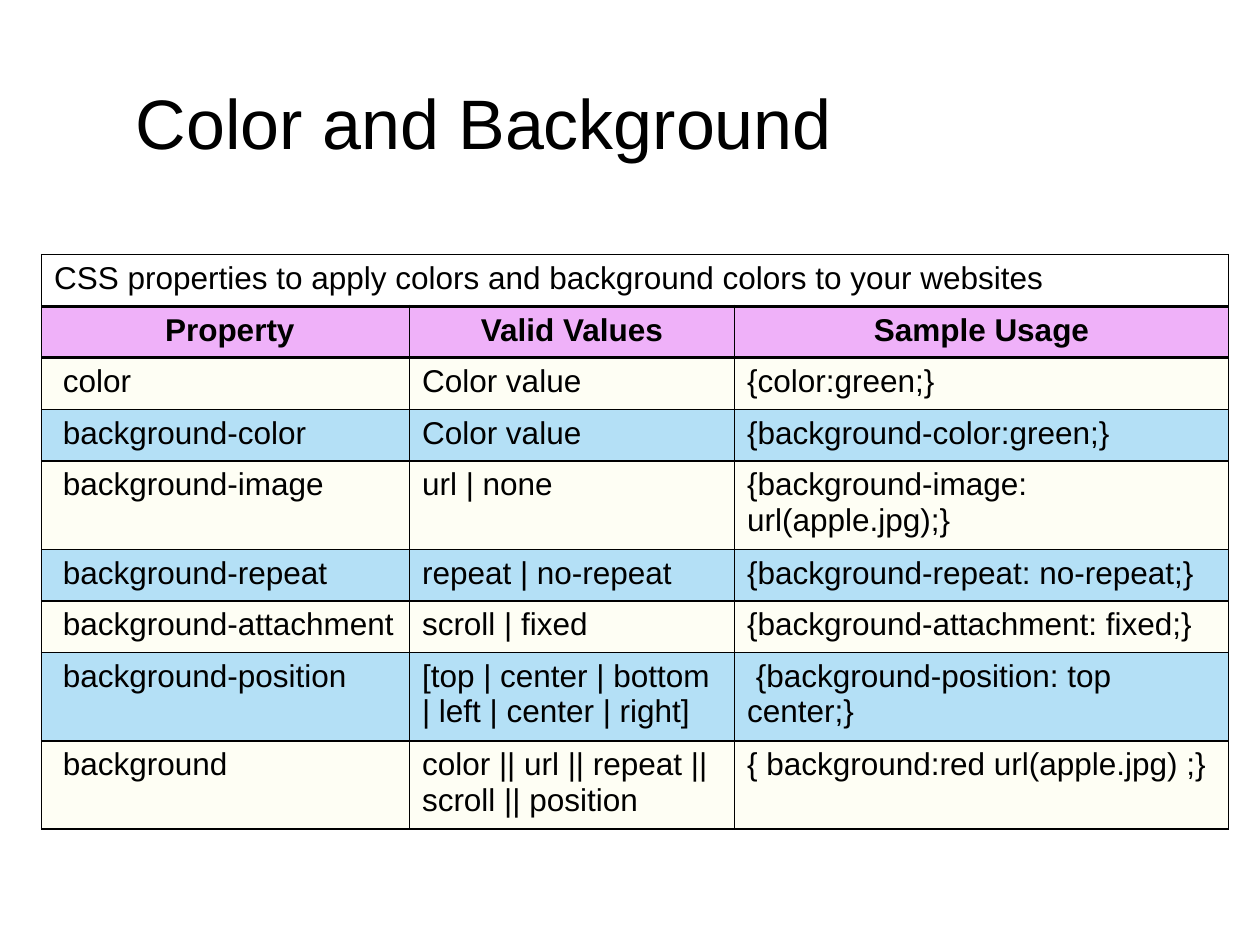
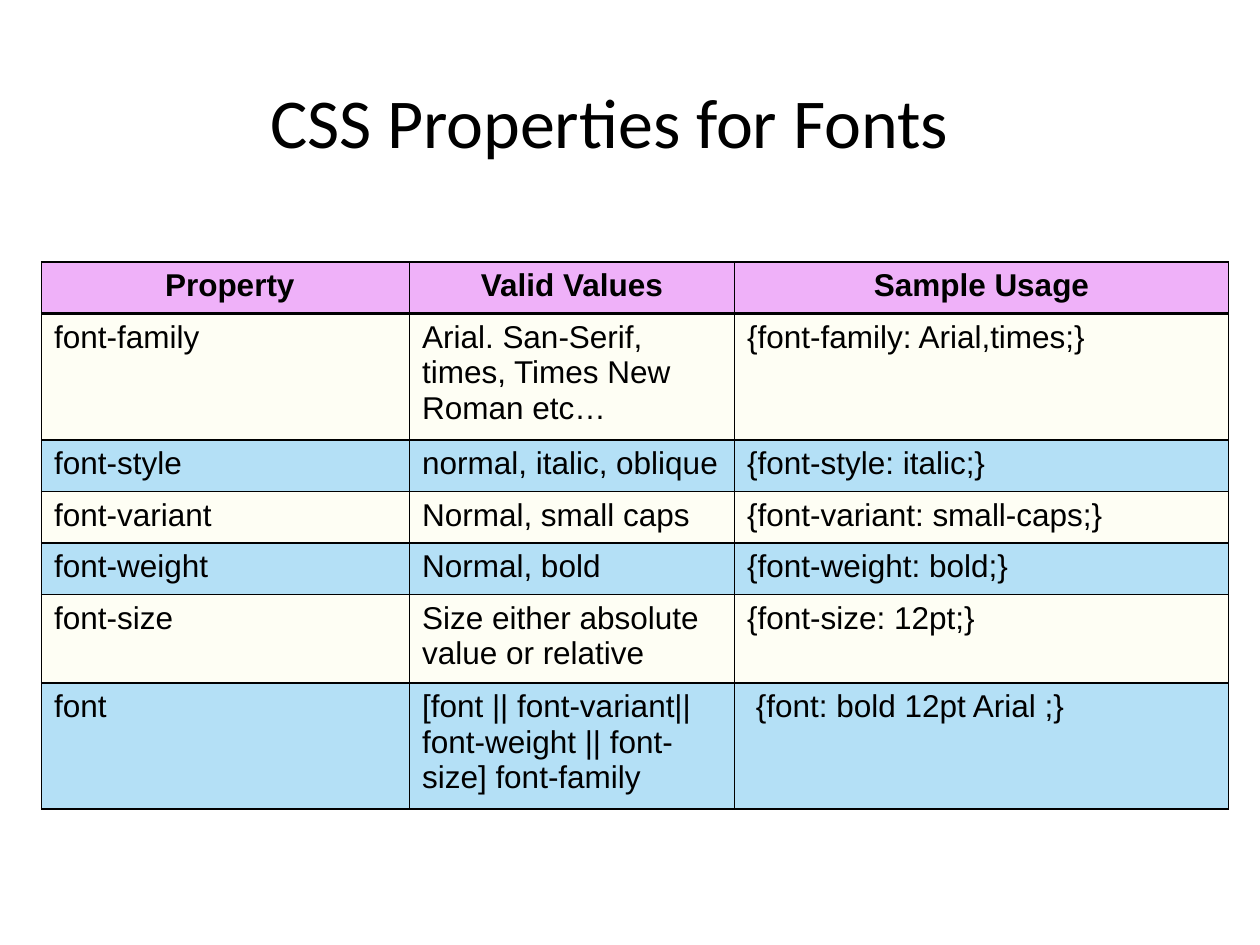
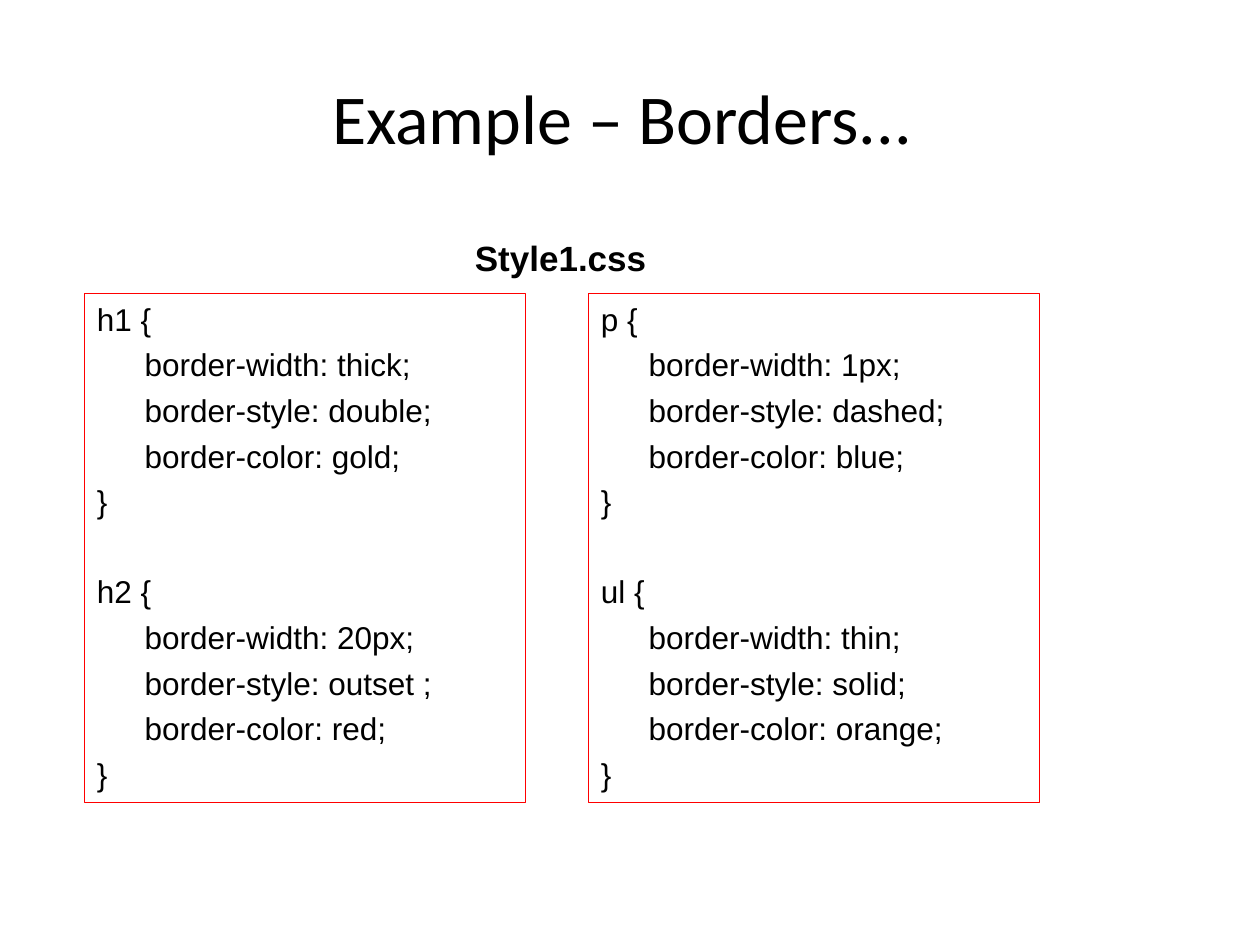
from lxml.etree import SubElement
from pptx import Presentation
from pptx.dml.color import RGBColor
from pptx.enum.shapes import MSO_SHAPE
from pptx.enum.text import MSO_ANCHOR, PP_ALIGN
from pptx.oxml.ns import qn
from pptx.util import Inches, Pt

BLACK = RGBColor(0x00, 0x00, 0x00)
RED = RGBColor(0xFF, 0x00, 0x00)
HEADER_PINK = RGBColor(0xEF, 0xB1, 0xF9)
BAND_CREAM = RGBColor(0xFB, 0xFC, 0xCC)
BAND_BLUE = RGBColor(0xB4, 0xE0, 0xF6)
CREAM_OPACITY = 20

BODY_FONT = "Arial"
TITLE_FONT = "Calibri"
TITLE_SIZE = 40
BODY_SIZE = 18

TABLE_LEFT = 0.33
COLUMN_WIDTHS = (2.92, 2.58, 3.92)
ROW_HEIGHTS = {1: 0.41, 2: 0.7, 3: 0.94}  # by number of text lines
HEADINGS = (" Property", "Valid Values", "Sample Usage")

CODE_INDENT = 0.38
CODE_SPACING = 4.5
RULE_SPACING = 29.7

# Each row: property, valid values, sample usage, number of text lines
COLOR_CAPTION = "CSS properties to apply colors and background colors to your websites"
COLOR_ROWS = [
    (" color", "Color value", "{color:green;}", 1),
    (" background-color", "Color value", "{background-color:green;}", 1),
    (" background-image", "url | none", "{background-image: url(apple.jpg);}", 2),
    (" background-repeat", "repeat | no-repeat", "{background-repeat: no-repeat;}", 1),
    (" background-attachment", "scroll | fixed", "{background-attachment: fixed;}", 1),
    (" background-position", "[top | center | bottom | left | center | right]",
     " {background-position: top center;}", 2),
    (" background", "color || url || repeat || scroll || position",
     "{ background:red url(apple.jpg) ;}", 2),
]
FONT_ROWS = [
    ("font-family", "Arial. San-Serif, times, Times New Roman etc…",
     "{font-family: Arial,times;}", 3),
    ("font-style", "normal, italic, oblique", "{font-style: italic;}", 1),
    ("font-variant", "Normal, small caps", "{font-variant: small-caps;}", 1),
    ("font-weight", "Normal, bold", "{font-weight: bold;}", 1),
    ("font-size", "Size either absolute value or relative", "{font-size: 12pt;}", 2),
    ("font", "[font || font-variant|| font-weight || font-size] font-family",
     " {font: bold 12pt Arial ;}", 3),
]

# Each rule: selector, border width, border style, border color
HEADING_RULES = [("h1", "thick", "double", "gold"), ("h2", "20px", "outset ", "red")]
BODY_RULES = [("p", "1px", "dashed", "blue"), ("ul", "thin", "solid", "orange")]


def write_text(paragraph, text, size=BODY_SIZE, font=BODY_FONT, bold=False,
               align=PP_ALIGN.LEFT, space_before=0, indent=0):
    paragraph.alignment = align
    paragraph.space_before = Pt(space_before)
    if indent:
        paragraph._p.get_or_add_pPr().set("marL", str(Inches(indent)))
    run = paragraph.add_run()
    run.text = text
    run.font.size = Pt(size)
    run.font.name = font
    run.font.bold = bold
    run.font.color.rgb = BLACK


def add_label(slide, text, left, top, width, height, anchor=MSO_ANCHOR.TOP, **text_format):
    box = slide.shapes.add_textbox(Inches(left), Inches(top), Inches(width), Inches(height))
    box.text_frame.word_wrap = True
    box.text_frame.vertical_anchor = anchor
    write_text(box.text_frame.paragraphs[0], text, **text_format)


def add_centered_title(slide, text, left, top, width, height):
    add_label(slide, text, left, top, width, height, anchor=MSO_ANCHOR.MIDDLE,
              size=TITLE_SIZE, font=TITLE_FONT, align=PP_ALIGN.CENTER)


def set_borders(cell, top, bottom):
    """Draw black borders; top and bottom are widths in points."""
    properties = cell._tc.get_or_add_tcPr()
    for side, width in (("L", 1), ("R", 1), ("T", top), ("B", bottom)):
        border = SubElement(properties, qn(f"a:ln{side}"), w=str(Pt(width)))
        fill = SubElement(border, qn("a:solidFill"))
        SubElement(fill, qn("a:srgbClr"), val=str(BLACK))


def fill_cell(cell, color):
    if color is None:
        cell.fill.background()
        return
    cell.fill.solid()
    cell.fill.fore_color.rgb = color
    if color == BAND_CREAM:
        tint = cell._tc.tcPr.find(qn("a:solidFill")).find(qn("a:srgbClr"))
        SubElement(tint, qn("a:alpha"), val=str(CREAM_OPACITY * 1000))


def add_property_table(slide, top, property_rows, caption=None):
    """Add a table of CSS properties, with an optional caption row across it."""
    rows = [(HEADINGS, 1, HEADER_PINK)]
    for index, (*texts, lines) in enumerate(property_rows):
        rows.append((texts, lines, BAND_BLUE if index % 2 else BAND_CREAM))
    if caption:
        rows.insert(0, ((caption, "", ""), 1, None))
    heights = [ROW_HEIGHTS[lines] for _, lines, _ in rows]

    table = slide.shapes.add_table(
        len(rows), len(COLUMN_WIDTHS), Inches(TABLE_LEFT), Inches(top),
        Inches(sum(COLUMN_WIDTHS)), Inches(sum(heights))).table
    table.first_row = table.horz_banding = False
    for column, width in zip(table.columns, COLUMN_WIDTHS):
        column.width = Inches(width)

    border_above = 1
    for row, height, (texts, _, color) in zip(table.rows, heights, rows):
        row.height = Inches(height)
        is_header = color == HEADER_PINK
        border_below = 2 if is_header or color is None else 1
        for cell, text in zip(row.cells, texts):
            set_borders(cell, border_above, border_below)
            fill_cell(cell, color)
            if text:
                write_text(cell.text_frame.paragraphs[0], text, bold=is_header,
                           align=PP_ALIGN.CENTER if is_header else PP_ALIGN.LEFT)
        border_above = border_below
    if caption:
        table.cell(0, 0).merge(table.cell(0, len(COLUMN_WIDTHS) - 1))


def add_code_box(slide, rules, left, width):
    """Add a red-edged box that lists border rules."""
    box = slide.shapes.add_shape(MSO_SHAPE.RECTANGLE, Inches(left), Inches(2.33),
                                 Inches(width), Inches(4.04))
    box.shadow.inherit = False
    box.fill.background()
    box.line.color.rgb = RED
    box.line.width = Pt(0.75)
    frame = box.text_frame
    frame.word_wrap = True
    frame.vertical_anchor = MSO_ANCHOR.TOP

    paragraph = frame.paragraphs[0]
    spacing = CODE_SPACING
    for selector, *values in rules:
        write_text(paragraph, f"{selector} {{", space_before=spacing)
        for name, value in zip(("width", "style", "color"), values):
            write_text(frame.add_paragraph(), f"border-{name}: {value};",
                       space_before=CODE_SPACING, indent=CODE_INDENT)
        write_text(frame.add_paragraph(), "}", space_before=CODE_SPACING)
        spacing = RULE_SPACING
        if selector != rules[-1][0]:
            paragraph = frame.add_paragraph()


def main():
    deck = Presentation()
    deck.slide_width = Inches(10)
    deck.slide_height = Inches(7.5)
    blank = deck.slide_layouts[6]

    colors = deck.slides.add_slide(blank)
    add_label(colors, "Color and Background", 0.98, 0.58, 6.94, 0.77, size=TITLE_SIZE)
    add_property_table(colors, 2.02, COLOR_ROWS, caption=COLOR_CAPTION)

    fonts = deck.slides.add_slide(blank)
    add_centered_title(fonts, "CSS Properties for Fonts", 0.75, 0.5, 8.17, 0.92)
    add_property_table(fonts, 2.08, FONT_ROWS)

    borders = deck.slides.add_slide(blank)
    add_centered_title(borders, "Example – Borders... ", 0.5, 0.3, 9, 1.25)
    add_code_box(borders, HEADING_RULES, 0.67, 3.5)
    add_label(borders, "Style1.css", 3.67, 1.83, 1.75, 0.44, size=20, bold=True)
    add_code_box(borders, BODY_RULES, 4.67, 3.58)

    deck.save("out.pptx")


if __name__ == "__main__":
    main()
